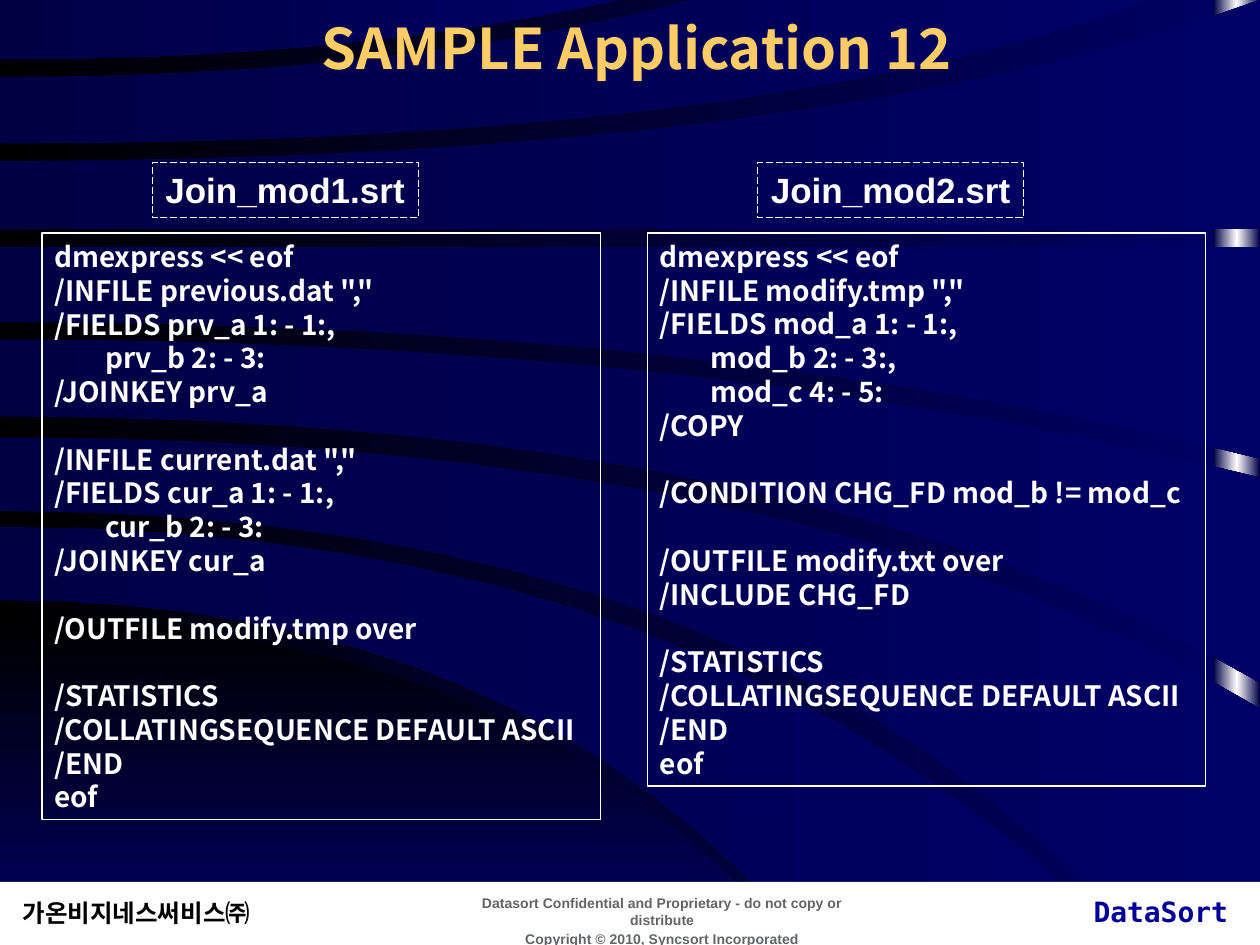
from pptx import Presentation
from pptx.dml.color import RGBColor
from pptx.enum.dml import MSO_LINE
from pptx.enum.shapes import MSO_SHAPE
from pptx.enum.text import MSO_ANCHOR, PP_ALIGN
from pptx.oxml import parse_xml
from pptx.oxml.ns import nsdecls, qn
from pptx.util import Pt

WIDTH, HEIGHT = 720, 540
SANS, KOREAN, MONO = "Arial", "Noto Sans CJK KR", "DejaVu Sans Mono"
WHITE, GOLD, GRAY, BLUE = "FFFFFF", "FFCC66", "636467", "000099"
NIGHT = ("000000", "000066")
BAND = ("000044", "000066")
GLOW = ("000044", "FFFFFF", "000044")

TITLE = "SAMPLE Application 12"
COMPANY = "가온비지네스써비스㈜"
PRODUCT = "DataSort"
NOTICE = [
    "Datasort Confidential and Proprietary - do not copy or distribute",
    "Copyright © 2010, Syncsort Incorporated",
]

# Each script: left edge, file name, blocks of code divided by a blank line
CLOSING = ["/STATISTICS", "/COLLATINGSEQUENCE DEFAULT ASCII", "/END", "eof"]
SCRIPTS = [
    (24, "Join_mod1.srt", [
        ["dmexpress << eof", '/INFILE previous.dat ","', "/FIELDS prv_a 1: - 1:,",
         "        prv_b 2: - 3:", "/JOINKEY prv_a"],
        ['/INFILE current.dat ","', "/FIELDS cur_a 1: - 1:,",
         "        cur_b 2: - 3:", "/JOINKEY cur_a"],
        ["/OUTFILE modify.tmp over"],
        CLOSING,
    ]),
    (370, "Join_mod2.srt", [
        ["dmexpress << eof", '/INFILE modify.tmp ","', "/FIELDS mod_a 1: - 1:,",
         "        mod_b 2: - 3:,", "        mod_c 4: - 5:", "/COPY"],
        ["/CONDITION CHG_FD mod_b != mod_c"],
        ["/OUTFILE modify.txt over", "/INCLUDE CHG_FD"],
        CLOSING,
    ]),
]

# Upper and lower edge of each sweep, back to front. An edge leaves the left
# side level at start_y, bends towards bend_x and stops at (end_x, end_y).
SWEEPS = [
    ((250, 462, WIDTH, 405), (292, 437, 654, HEIGHT)),
    ((194, 404, WIDTH, 273), (238, 460, WIDTH, 390)),
    ((92, 470, WIDTH, 0), (131, 360, WIDTH, 131)),
    ((44, 232, 395, 0), (82, 440, 656, 0)),
    ((0, 176, 353, 0), (34, 200, 353, 0)),
    ((141, 360, WIDTH, 141), (184, 410, WIDTH, 262)),
    ((301, 410, 643, HEIGHT), (343, 300, 462, HEIGHT)),
]
CORNER = ((354, 300, 453, HEIGHT), (HEIGHT, 226, 453, HEIGHT))
EDGE_STEPS = 16

GLOW_LEFT, FOOTER_TOP = 693.4, 504
CODE_TOP, CODE_WIDTH, CODE_PITCH, CODE_INSETS = 133.2, 319, 19.3, 7.2
LABEL_TOP, LABEL_WIDTH, LABEL_HEIGHT, LABEL_INDENT = 92.9, 152, 31.7, 63


def color(hex_code):
    return RGBColor.from_string(hex_code)


def set_gradient(fill, owner, colors, angle=0):
    """Spread the colours evenly; owner is the XML element holding the fill."""
    fill.gradient()
    fill.gradient_angle = angle
    stops = owner.find(".//" + qn("a:gsLst"))
    for stop in list(stops):
        stops.remove(stop)
    for i, hex_code in enumerate(colors):
        position = 100000 * i // (len(colors) - 1)
        stops.append(parse_xml(
            f'<a:gs {nsdecls("a")} pos="{position}"><a:srgbClr val="{hex_code}"/></a:gs>'))


def edge_points(start_y, bend_x, end_x, end_y):
    """Sample the quadratic curve of one edge from left to right."""
    points = []
    for step in range(EDGE_STEPS + 1):
        t = step / EDGE_STEPS
        points.append((2 * t * (1 - t) * bend_x + t * t * end_x,
                       start_y + t * t * (end_y - start_y)))
    return points


def add_sweep(slide, edges, colors, angle=0):
    upper, lower = (edge_points(*edge) for edge in edges)
    right = max(upper[-1][0], lower[-1][0])
    outline = lower + [(right, lower[-1][1])] + upper[::-1]
    (start_x, start_y), *rest = [(Pt(x), Pt(y)) for x, y in outline]
    builder = slide.shapes.build_freeform(start_x, start_y)
    builder.add_line_segments(rest)
    sweep = builder.convert_to_shape()
    sweep.shadow.inherit = False
    sweep.line.fill.background()
    set_gradient(sweep.fill, sweep._element.spPr, colors, angle)


def add_rectangle(slide, *box):
    rectangle = slide.shapes.add_shape(MSO_SHAPE.RECTANGLE, *map(Pt, box))
    rectangle.shadow.inherit = False
    rectangle.fill.background()
    rectangle.line.fill.background()
    return rectangle


def add_frame(slide, box, weight, dash=None):
    frame = add_rectangle(slide, *box)
    frame.line.color.rgb = color(WHITE)
    frame.line.width = Pt(weight)
    if dash:
        frame.line.dash_style = dash
    return frame


def write(shape, lines, font, size, hex_code, align=PP_ALIGN.LEFT,
          anchor=MSO_ANCHOR.TOP, wrap=True):
    text = shape.text_frame
    text.word_wrap = wrap
    text.vertical_anchor = anchor
    for i, line in enumerate(lines):
        paragraph = text.add_paragraph() if i else text.paragraphs[0]
        paragraph.text = line
        paragraph.alignment = align
        paragraph.font.name = font
        paragraph.font.size = Pt(size)
        paragraph.font.bold = True
        paragraph.font.color.rgb = color(hex_code)
    return text.paragraphs


def add_text(slide, box, *args, **options):
    return write(slide.shapes.add_textbox(*map(Pt, box)), *args, **options)


def add_script(slide, left, blocks):
    lines = [line for block in blocks for line in block]
    rows = len(lines) + len(blocks) - 1
    frame = add_frame(
        slide, (left, CODE_TOP, CODE_WIDTH, rows * CODE_PITCH + CODE_INSETS), 0.75)
    paragraphs = write(frame, lines, KOREAN, 16, WHITE)
    for paragraph in paragraphs:
        paragraph.line_spacing = Pt(CODE_PITCH)
    first = 0
    for block in blocks[:-1]:
        first += len(block)
        paragraphs[first].space_before = Pt(CODE_PITCH)


def main():
    prs = Presentation()
    prs.slide_width, prs.slide_height = Pt(WIDTH), Pt(HEIGHT)
    slide = prs.slides.add_slide(prs.slide_layouts[6])

    set_gradient(slide.background.fill, slide._element, NIGHT)
    glow = add_rectangle(slide, GLOW_LEFT, 0, WIDTH - GLOW_LEFT, HEIGHT)
    set_gradient(glow.fill, glow._element.spPr, GLOW)
    for edges in SWEEPS:
        add_sweep(slide, edges, BAND)
    add_sweep(slide, CORNER, NIGHT, 270)

    footer = add_rectangle(slide, 0, FOOTER_TOP, WIDTH, HEIGHT - FOOTER_TOP)
    footer.fill.solid()
    footer.fill.fore_color.rgb = color(WHITE)
    add_text(slide, (5.8, 509.8, 152, 23.8), [COMPANY], KOREAN, 14, "000000", wrap=False)
    add_text(slide, (617.8, 507.6, 91.4, 26.6), [PRODUCT], MONO, 16, BLUE, wrap=False)
    notice = add_text(slide, (258.5, 507.6, 239.8, 28), NOTICE, SANS, 8, GRAY,
                      align=PP_ALIGN.CENTER)
    notice[1].space_before = Pt(1.6)

    add_text(slide, (0, 0, 728, 54), [TITLE], KOREAN, 32, GOLD,
             align=PP_ALIGN.CENTER, anchor=MSO_ANCHOR.MIDDLE)
    for left, file_name, blocks in SCRIPTS:
        add_script(slide, left, blocks)
        label = add_frame(
            slide, (left + LABEL_INDENT, LABEL_TOP, LABEL_WIDTH, LABEL_HEIGHT),
            0.5, MSO_LINE.LONG_DASH)
        write(label, [file_name], SANS, 20, WHITE, align=PP_ALIGN.CENTER, wrap=False)

    prs.save("out.pptx")


if __name__ == "__main__":
    main()
